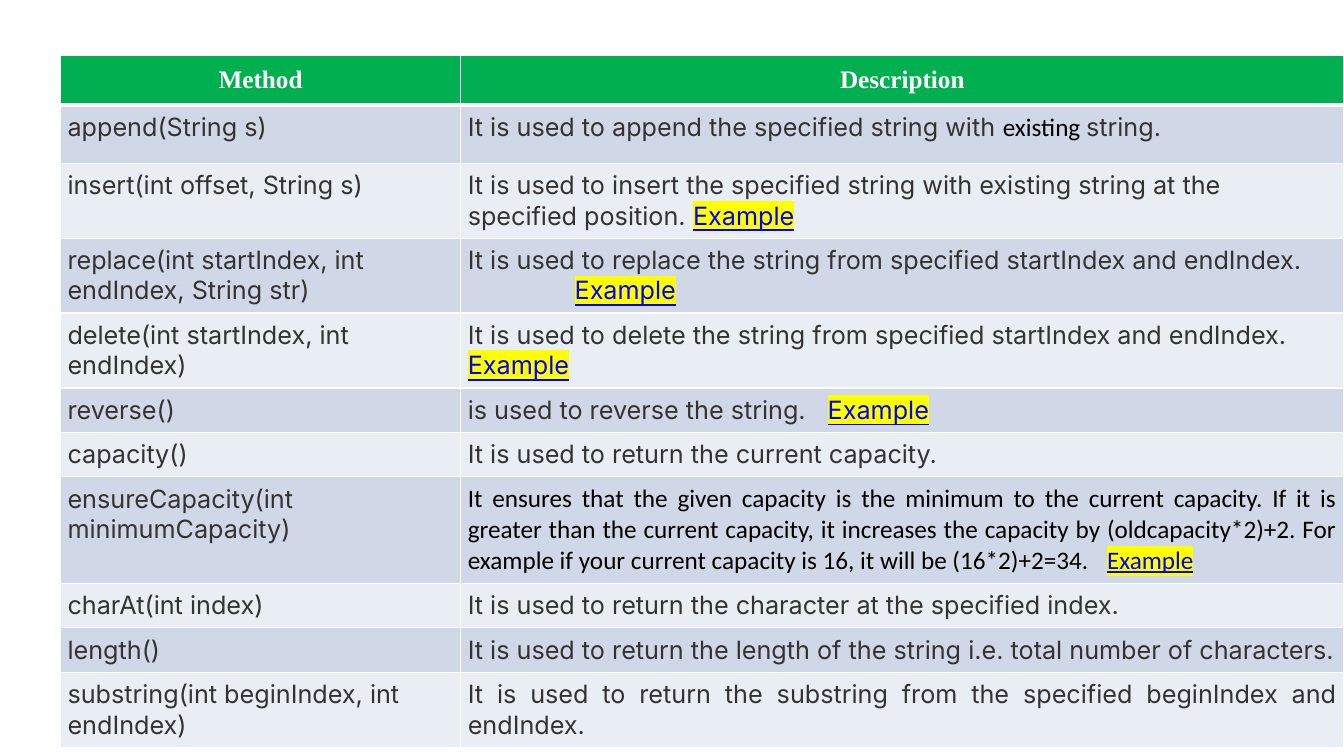
from lxml import etree
from pptx import Presentation
from pptx.dml.color import RGBColor
from pptx.enum import text
from pptx.oxml.ns import qn
from pptx.util import Inches, Pt

LEFT, JUSTIFY, CENTER = (text.PP_ALIGN.LEFT, text.PP_ALIGN.JUSTIFY,
                         text.PP_ALIGN.CENTER)
# style: font, colour, bold, underline, highlight
HEAD = ("Times New Roman", "FFFFFF", True, False, None)
BODY = ("Inter", "333333", False, False, None)
PLAIN = ("Calibri", "000000", False, False, None)
LINK = ("Inter", "0000FF", False, True, "FFFF00")
PLAIN_LINK = ("Calibri", "0000FF", False, True, "FFFF00")
BREAK = "\v"

# height, method, method alignment, description runs, alignment, tab stop
METHODS = [
    (0.58, "append(String s)", LEFT,
     [("It is used to append the specified string with ", BODY),
      ("existing ", PLAIN), ("string.", BODY)], LEFT, None),
    (0.73, "insert(int offset, String s)", LEFT,
     [("It is used to insert the specified string with existing string "
       "at the specified position. ", BODY), ("Example", LINK)], LEFT, None),
    (0.73, "replace(int startIndex, int endIndex, String str)", LEFT,
     [("It is used to replace the string from specified startIndex "
       "and endIndex.", BODY),
      (BREAK, BODY), ("\t", BODY), ("Example", LINK)], LEFT, 1.06),
    (0.73, "delete(int startIndex, int endIndex)", LEFT,
     [("It is used to delete the string from specified startIndex "
       "and endIndex. ", BODY), ("Example", LINK)], LEFT, None),
    (0.43, "reverse()", LEFT,
     [("is used to reverse the string.\t", BODY), ("Example", LINK)],
     LEFT, 3.57),
    (0.43, "capacity()", JUSTIFY,
     [("It is used to return the current capacity.", BODY)], JUSTIFY, None),
    (1.05, "ensureCapacity(int minimumCapacity)", JUSTIFY,
     [("It ensures that the given capacity is the minimum to the current "
       "capacity. If it is greater than the current capacity, it increases "
       "the capacity by (oldcapacity*2)+2. For example if your current "
       "capacity is 16, it will be (16*2)+2=34.\t", PLAIN),
      ("Example", PLAIN_LINK)], JUSTIFY, 6.34),
    (0.43, "charAt(int index)", JUSTIFY,
     [("It is used to return the character at the specified index.", BODY)],
     JUSTIFY, None),
    (0.43, "length()", JUSTIFY,
     [("It is used to return the length of the string i.e. total number of "
       "characters.", BODY)], JUSTIFY, None),
    (0.73, "substring(int beginIndex, int endIndex)", LEFT,
     [("It is used to return the substring from the specified beginIndex "
       "and endIndex.", BODY)], JUSTIFY, None),
]


def rgb(color):
    return RGBColor.from_string(color)


def add_color(parent, color):
    etree.SubElement(parent, qn("a:srgbClr"), val=color)


def add_run(p, content, style):
    font, color, bold, underline, highlight = style
    r = p.add_run()
    r.text = content
    r.font.name, r.font.size = font, Pt(18)
    r.font.bold, r.font.underline = bold, underline
    r.font.color.rgb = rgb(color)
    if highlight:
        mark = etree.Element(qn("a:highlight"))
        add_color(mark, highlight)
        r.font._element.find(qn("a:solidFill")).addnext(mark)


def set_tab(p, stop):
    tabs = etree.SubElement(p._p.get_or_add_pPr(), qn("a:tabLst"))
    etree.SubElement(tabs, qn("a:tab"), pos=str(Inches(stop)), algn="l")


def set_borders(cell, bottom):
    """Draw white borders, one point wide except for the bottom one."""
    tcPr = cell._tc.get_or_add_tcPr()
    for i, (side, width) in enumerate(zip("LRTB", (1, 1, 1, bottom))):
        ln = etree.Element(qn(f"a:ln{side}"), w=str(Pt(width)))
        add_color(etree.SubElement(ln, qn("a:solidFill")), "FFFFFF")
        tcPr.insert(i, ln)


def fill_cell(cell, runs, align, fill, inset=0.07, bottom=1, tab=None):
    cell.margin_left = cell.margin_right = Inches(inset)
    cell.margin_top = cell.margin_bottom = Inches(inset)
    cell.fill.solid()
    cell.fill.fore_color.rgb = rgb(fill)
    set_borders(cell, bottom)
    p = cell.text_frame.paragraphs[0]
    p.alignment = align
    if tab:
        set_tab(p, tab)
    for content, style in runs:
        if content == BREAK:
            p.add_line_break()
        else:
            add_run(p, content, style)


def add_method_table(s):
    heights = [0.49] + [method[0] for method in METHODS]
    table = s.shapes.add_table(len(heights), 2, Inches(0.6), Inches(0.55),
                               Inches(12.73), Inches(sum(heights))).table
    for column, width in zip(table.columns, (3.97, 8.76)):
        column.width = Inches(width)
    for row, height in zip(table.rows, heights):
        row.height = Inches(height)
    for i, title in enumerate(("Method", "Description")):
        fill_cell(table.cell(0, i), [(title, HEAD)], CENTER, "00B050",
                  inset=0.1, bottom=3)
    for i, (_, name, name_align, runs, align, tab) in enumerate(METHODS, 1):
        fill = "D0D8E8" if i % 2 else "E9EDF4"
        fill_cell(table.cell(i, 0), [(name, BODY)], name_align, fill)
        fill_cell(table.cell(i, 1), runs, align, fill, tab=tab)


def main():
    prs = Presentation()
    prs.slide_width, prs.slide_height = Inches(13.33), Inches(7.5)
    s = prs.slides.add_slide(prs.slide_layouts[6])
    add_method_table(s)
    prs.save("out.pptx")


if __name__ == "__main__":
    main()
